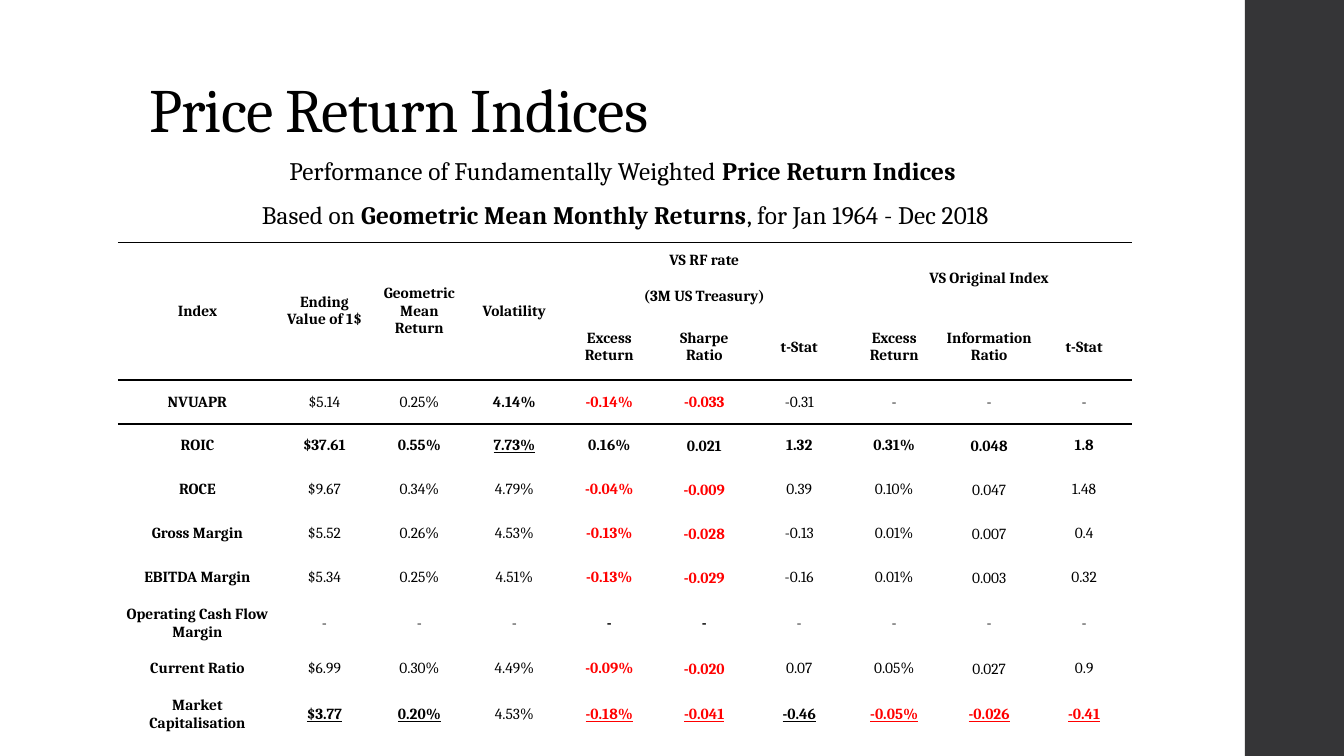
from lxml.etree import SubElement
from pptx import Presentation
from pptx.dml.color import RGBColor
from pptx.enum.shapes import MSO_SHAPE as Preset
from pptx.enum.text import MSO_ANCHOR as Anchor, MSO_AUTO_SIZE as AutoSize, PP_ALIGN as Align
from pptx.oxml.ns import qn
from pptx.util import Pt

EMU_PER_PX = 914400 / 100.8
FONT = "Cambria"
BLACK, RED, CHARCOAL = "000000", "FF0000", "353537"
NO_STYLE_NO_GRID = "{2D5ABB26-0587-4C30-8999-92F81FD0307C}"

SUBTITLE = [
    [("Performance of Fundamentally Weighted ", False), ("Price Return Indices ", True)],
    [("Based on ", False), ("Geometric Mean Monthly Returns", True),
     (", for Jan 1964 - Dec 2018", False)],
]

HEADERS = [
    (0, 0, 3, 1, "Index"),
    (0, 1, 3, 1, "Ending Value of 1$"),
    (0, 2, 3, 1, "Geometric Mean Return"),
    (0, 3, 3, 1, "Volatility"),
    (0, 4, 1, 3, "VS RF rate"),
    (1, 4, 1, 3, "(3M US Treasury)"),
    (0, 7, 2, 3, "VS Original Index"),
    (2, 4, 1, 1, "Excess Return"),
    (2, 5, 1, 1, "Sharpe Ratio"),
    (2, 6, 1, 1, "t-Stat"),
    (2, 7, 1, 1, "Excess Return"),
    (2, 8, 1, 1, "Information Ratio"),
    (2, 9, 1, 1, "t-Stat"),
]

STYLES = {
    "n": (BLACK, False, False),
    "b": (BLACK, True, False),
    "u": (BLACK, True, True),
    "r": (RED, True, False),
    "x": (RED, True, True),
}

INDICES = [
    ("NVUAPR", "$5.14 0.25% 4.14% -0.14% -0.033 -0.31 - - -", "nnbrrnnnn"),
    ("ROIC", "$37.61 0.55% 7.73% 0.16% 0.021 1.32 0.31% 0.048 1.8", "bbubbbbbb"),
    ("ROCE", "$9.67 0.34% 4.79% -0.04% -0.009 0.39 0.10% 0.047 1.48", "nnnrrnnnn"),
    ("Gross Margin", "$5.52 0.26% 4.53% -0.13% -0.028 -0.13 0.01% 0.007 0.4", "nnnrrnnnn"),
    ("EBITDA Margin", "$5.34 0.25% 4.51% -0.13% -0.029 -0.16 0.01% 0.003 0.32", "nnnrrnnnn"),
    ("Operating Cash Flow Margin", "- - - - - - - - -", "nnnbbnnnn"),
    ("Current Ratio", "$6.99 0.30% 4.49% -0.09% -0.020 0.07 0.05% 0.027 0.9", "nnnrrnnnn"),
    ("Market Capitalisation", "$3.77 0.20% 4.53% -0.18% -0.041 -0.46 -0.05% -0.026 -0.41",
     "uunxxuxxx"),
]

HEADER_HEIGHTS = [36, 36, 66]
ROW_HEIGHT = 44
COLUMN_WIDTHS = [159] + [95] * 9
RATIO_COLUMNS = (5, 8)


def px(length):
    return round(length * EMU_PER_PX)


def color(value):
    return RGBColor.from_string(value)


def set_font(font, size, fill=BLACK, bold=False, underline=False):
    font.name = FONT
    font.size = Pt(size)
    font.color.rgb = color(fill)
    font.bold = bold
    font.underline = underline


def set_spacing(run, points):
    run._r.get_or_add_rPr().set("spc", str(round(points * 100)))


def add_side_bar(slide):
    bar = slide.shapes.add_shape(Preset.RECTANGLE, px(1245), 0, px(99), px(756))
    bar.shadow.inherit = False
    bar.fill.solid()
    bar.fill.fore_color.rgb = color(CHARCOAL)
    bar.line.fill.background()


def place_title(slide, text):
    title = slide.shapes.title
    title.left, title.top, title.width, title.height = px(139), px(40), px(1068), px(146)
    frame = title.text_frame
    frame.text = text
    frame.auto_size = AutoSize.NONE
    frame.vertical_anchor = Anchor.MIDDLE
    paragraph = frame.paragraphs[0]
    paragraph.alignment = Align.LEFT
    paragraph.line_spacing = 0.9
    set_font(paragraph.font, 44)
    set_spacing(paragraph.runs[0], -0.5)


def add_subtitle(slide, lines):
    box = slide.shapes.add_textbox(px(44), px(150), px(1163), px(86))
    frame = box.text_frame
    frame.word_wrap = True
    for index, line in enumerate(lines):
        paragraph = frame.add_paragraph() if index else frame.paragraphs[0]
        paragraph.alignment = Align.CENTER
        paragraph.space_after = Pt(10)
        for text, bold in line:
            run = paragraph.add_run()
            run.text = text
            set_font(run.font, 18, bold=bold)
            set_spacing(run, 0.1)


def fill_cell(cell, text, style, tight=False):
    cell.text = text
    cell.vertical_anchor = Anchor.MIDDLE
    margin = px(1 if tight else 5)
    cell.margin_left = cell.margin_right = cell.margin_top = margin
    cell.margin_bottom = 0 if tight else margin
    paragraph = cell.text_frame.paragraphs[0]
    paragraph.alignment = Align.CENTER
    set_font(paragraph.font, 11, *STYLES[style])


def rule_row(table, row, side, points):
    for column in range(len(table.columns)):
        properties = table.cell(row, column)._tc.get_or_add_tcPr()
        line = SubElement(properties, qn(f"a:{side}"), w=str(Pt(points)))
        fill = SubElement(line, qn("a:solidFill"))
        SubElement(fill, qn("a:srgbClr"), val=BLACK)
        properties.insert(0, line)


def add_index_table(slide):
    heights = HEADER_HEIGHTS + [ROW_HEIGHT] * len(INDICES)
    shape = slide.shapes.add_table(len(heights), len(COLUMN_WIDTHS), px(118), px(242),
                                   px(sum(COLUMN_WIDTHS)), px(sum(heights)))
    table = shape.table
    table.first_row = table.horz_banding = False
    table._tbl.tblPr.find(qn("a:tableStyleId")).text = NO_STYLE_NO_GRID
    for column, width in zip(table.columns, COLUMN_WIDTHS):
        column.width = px(width)
    for row, height in zip(table.rows, heights):
        row.height = px(height)
    for cell in table.iter_cells():
        cell.fill.background()

    for row, column, row_span, column_span, text in HEADERS:
        cell = table.cell(row, column)
        if row_span * column_span > 1:
            cell.merge(table.cell(row + row_span - 1, column + column_span - 1))
        fill_cell(cell, text, "b")

    first_row = len(HEADER_HEIGHTS)
    for row, (name, values, styles) in enumerate(INDICES, first_row):
        for column, (text, style) in enumerate(zip([name] + values.split(), "b" + styles)):
            fill_cell(table.cell(row, column), text, style, column in RATIO_COLUMNS)

    rule_row(table, 0, "lnT", 0.5)
    rule_row(table, first_row - 1, "lnB", 2)
    rule_row(table, first_row, "lnT", 2)


def main():
    presentation = Presentation()
    presentation.slide_width, presentation.slide_height = px(1344), px(756)
    slide = presentation.slides.add_slide(presentation.slide_layouts[5])
    add_side_bar(slide)
    add_subtitle(slide, SUBTITLE)
    add_index_table(slide)
    place_title(slide, "Price Return Indices")
    presentation.save("out.pptx")


if __name__ == "__main__":
    main()
